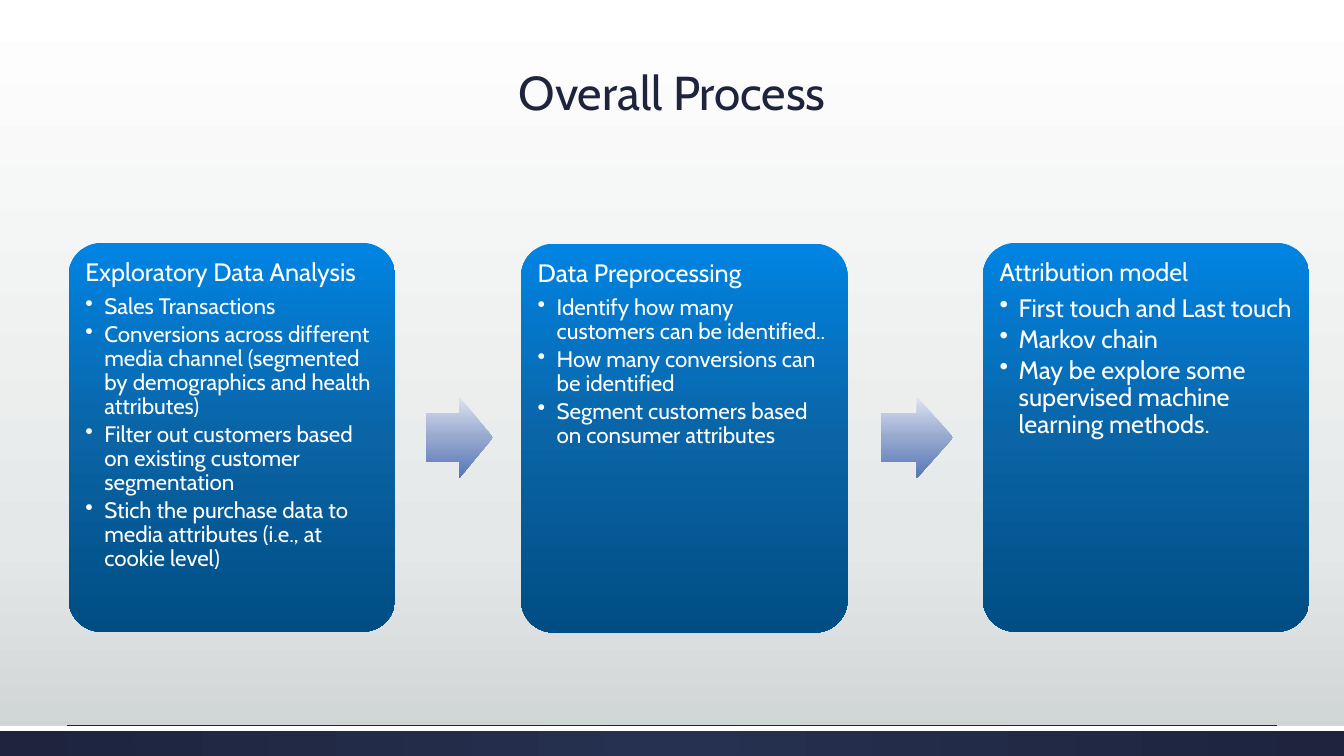
from copy import deepcopy

from lxml.etree import SubElement
from pptx import Presentation
from pptx.dml.color import RGBColor
from pptx.enum.shapes import MSO_CONNECTOR as Connector, MSO_SHAPE as Shape
from pptx.enum.text import MSO_ANCHOR as Anchor, PP_ALIGN as Align
from pptx.oxml.ns import qn
from pptx.util import Cm, Pt

WHITE = RGBColor(0xFF, 0xFF, 0xFF)
NAVY = RGBColor(0x1D, 0x24, 0x3C)
NAVY_LIGHT = RGBColor(0x26, 0x30, 0x50)
BACKGROUND = [(0, WHITE), (0.72, RGBColor(0xE5, 0xE8, 0xE8)), (1, RGBColor(0xCD, 0xD2, 0xD2))]
CARD_BLUES = [(0, RGBColor(0x00, 0x84, 0xE3)), (0.5, RGBColor(0x0A, 0x64, 0xA5)),
              (1, RGBColor(0x00, 0x4D, 0x84))]
ARROW_BLUES = [(0, RGBColor(0xDD, 0xE3, 0xF1)), (0.5, RGBColor(0x96, 0xA8, 0xCE)),
               (1, RGBColor(0x56, 0x76, 0xB8))]
FOOTER_BLUES = [(0, NAVY_LIGHT), (1, NAVY)]

WIDTH, HEIGHT = 33.87, 19.05
FOOTER_TOP = 18.29

STEPS = [
    (1.73, 6.12, "Exploratory Data Analysis", 16, [
        "Sales Transactions",
        "Conversions across different media channel (segmented by demographics and health attributes)",
        "Filter out customers based on existing customer segmentation",
        "Stich the purchase data to media attributes (i.e., at cookie level)",
    ]),
    (13.13, 6.14, "Data Preprocessing", 16, [
        "Identify how many customers can be identified..",
        "How many conversions can be identified",
        "Segment customers based on consumer attributes",
    ]),
    (24.77, 6.12, "Attribution model", 18, [
        "First touch and Last touch",
        "Markov chain",
        "May be explore some supervised machine learning methods.",
    ]),
]
ARROWS = [(10.74, 1.68), (22.2, 1.82)]


class SlideBuilder:
    font = "Cabin"
    line_spacing = 0.9

    def __init__(self, page):
        self.page = page

    def gradient(self, fill, colors):
        fill.gradient()
        fill.gradient_angle = 270
        first = fill.gradient_stops[0]._gs
        for _ in colors[2:]:
            first.addnext(deepcopy(first))
        for stop, (position, color) in zip(fill.gradient_stops, colors):
            stop.position = position
            stop.color.rgb = color

    def block(self, kind, left, top, width, height, colors):
        shape = self.page.shapes.add_shape(kind, Cm(left), Cm(top), Cm(width), Cm(height))
        shape.shadow.inherit = False
        shape.line.fill.background()
        if isinstance(colors, RGBColor):
            shape.fill.solid()
            shape.fill.fore_color.rgb = colors
        else:
            self.gradient(shape.fill, colors)
        return shape

    def text(self, para, words, size, color, align=Align.LEFT, after=0):
        para.alignment = align
        para.line_spacing = self.line_spacing
        para.space_after = Pt(size * after)
        span = para.add_run()
        span.text = words
        span.font.name = self.font
        span.font.size = Pt(size)
        span.font.color.rgb = color

    def bullet(self, para):
        properties = para._p.get_or_add_pPr()
        properties.set("marL", str(Cm(0.48)))
        properties.set("indent", str(-Cm(0.48)))
        SubElement(properties, qn("a:buChar"), char="•")

    def title(self, words):
        box = self.page.shapes.add_textbox(Cm(3.73), Cm(1.3), Cm(26.42), Cm(1.88))
        frame = box.text_frame
        frame.word_wrap = True
        frame.vertical_anchor = Anchor.BOTTOM
        self.text(frame.paragraphs[0], words, 34, NAVY, Align.CENTER)

    def card(self, left, top, heading, size, items):
        card = self.block(Shape.ROUNDED_RECTANGLE, left, top, 8.23, 9.8, CARD_BLUES)
        card.adjustments[0] = 0.1
        frame = card.text_frame
        frame.word_wrap = True
        frame.vertical_anchor = Anchor.TOP
        frame.margin_left = frame.margin_right = Cm(0.18)
        frame.margin_top = frame.margin_bottom = Cm(0.18)
        self.text(frame.paragraphs[0], heading, 18, WHITE, after=0.35)
        for item in items:
            para = frame.add_paragraph()
            self.text(para, item, size, WHITE, after=0.15)
            self.bullet(para)

    def arrow(self, left, width):
        arrow = self.block(Shape.RIGHT_ARROW, left, 10.01, width, 2.03, ARROW_BLUES)
        arrow.adjustments[0] = 0.6
        arrow.adjustments[1] = 0.5

    def footer(self):
        band = self.block(Shape.RECTANGLE, 0, FOOTER_TOP, WIDTH, HEIGHT - FOOTER_TOP, FOOTER_BLUES)
        linear = next(band.element.iter(qn("a:lin")))
        gradient = linear.getparent()
        gradient.remove(linear)
        circle = SubElement(gradient, qn("a:path"), path="circle")
        SubElement(circle, qn("a:fillToRect"), l="50000", t="50000", r="50000", b="50000")
        self.block(Shape.RECTANGLE, 0, FOOTER_TOP, WIDTH, 0.13, WHITE)

    def rule(self, left, right, top):
        line = self.page.shapes.add_connector(
            Connector.STRAIGHT, Cm(left), Cm(top), Cm(right), Cm(top))
        line.line.color.rgb = NAVY
        line.line.width = Pt(0.75)
        SubElement(line.element.spPr, qn("a:effectLst"))


def main():
    deck = Presentation()
    deck.slide_width, deck.slide_height = Cm(WIDTH), Cm(HEIGHT)
    page = deck.slides.add_slide(deck.slide_layouts[6])
    builder = SlideBuilder(page)
    builder.gradient(page.background.fill, BACKGROUND)
    builder.footer()
    builder.rule(1.7, 32.17, 18.27)
    builder.title("Overall Process")
    for step in STEPS:
        builder.card(*step)
    for arrow in ARROWS:
        builder.arrow(*arrow)
    deck.save("out.pptx")


if __name__ == "__main__":
    main()
